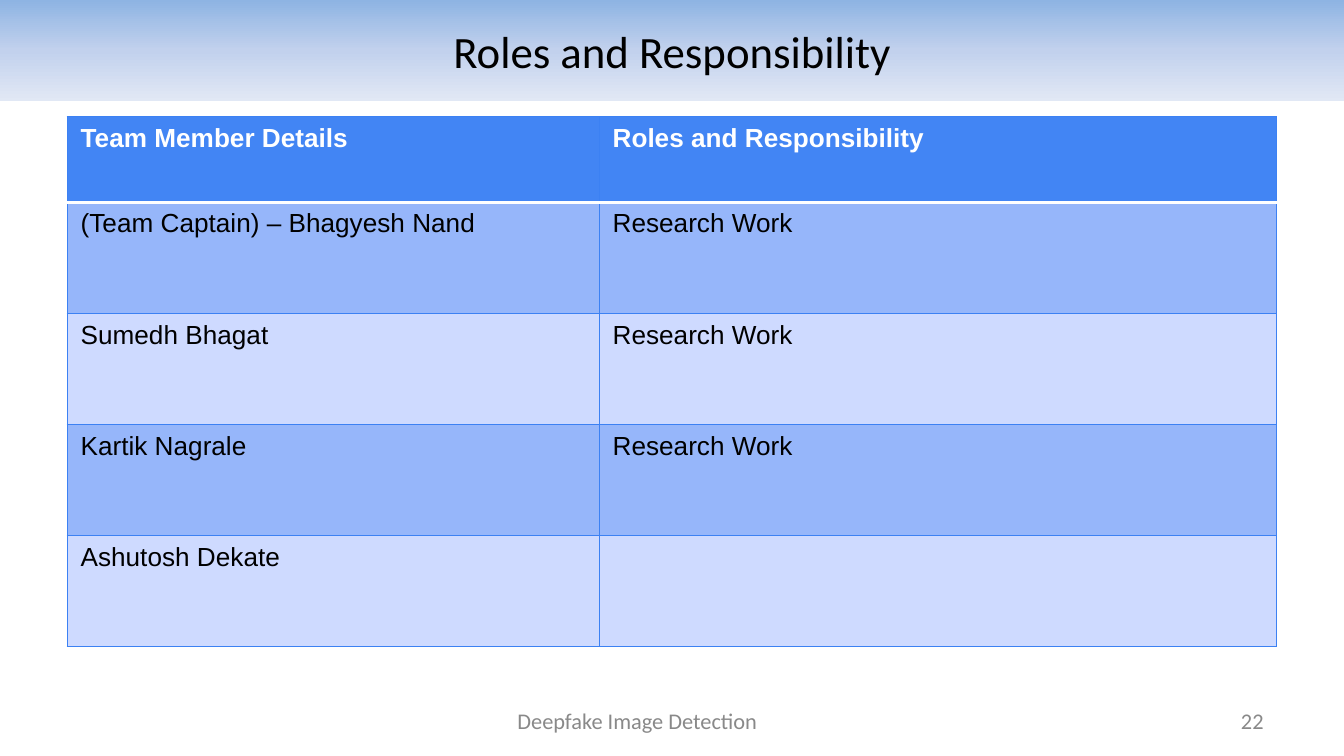
from copy import deepcopy

from lxml.etree import SubElement
from pptx import Presentation
from pptx.dml.color import RGBColor
from pptx.enum.text import MSO_ANCHOR as Anchor, PP_ALIGN as Align
from pptx.oxml.ns import qn
from pptx.util import Pt

# Content
HEADING = "Roles and Responsibility"
ROLES = [
    ("Team Member Details", "Roles and Responsibility"),
    ("(Team Captain) – Bhagyesh Nand", "Research Work"),
    ("Sumedh Bhagat", "Research Work"),
    ("Kartik Nagrale", "Research Work"),
    ("Ashutosh Dekate", ""),
]
# Footer entries: text, left, width, alignment
FOOTERS = [
    ("22", 516, 168, Align.RIGHT),
    ("Deepfake Image Detection", 59, 565, Align.CENTER),
]

# Layout, in points
SLIDE_W, SLIDE_H = 720, 405
BANNER_H = 54
TABLE_LEFT, TABLE_TOP = 36, 62.5
COLUMN_W = (285, 363)
HEADER_H, ROW_H = 46, 59.5
FOOTER_TOP, FOOTER_H = 375.25, 21.6

COLORS = {
    "text": "000000", "header_text": "FFFFFF", "footer": "898989",
    "header": "4285F4", "band": "96B6FA", "plain": "CEDAFF",
    "border": "3C81F3", "header_rule": "FFFFFF",
}
BANNER_STOPS = ("8EB4E3", "C2D1ED", "E1E8F5")


def write(frame, text, size, font="Calibri", color="text", bold=False,
          align=Align.LEFT, anchor=Anchor.MIDDLE):
    frame.word_wrap = True
    frame.vertical_anchor = anchor
    line = frame.paragraphs[0]
    line.alignment = align
    run = line.add_run()
    run.text = text
    run.font.size, run.font.name, run.font.bold = Pt(size), font, bold
    run.font.color.rgb = RGBColor.from_string(COLORS[color])


def set_borders(cell, sides):
    """Draw cell borders from {side: (colour, width)}, in L, R, T, B order."""
    properties = cell._tc.get_or_add_tcPr()
    for position, (side, (color, width)) in enumerate(sides.items()):
        edge = SubElement(properties, qn(f"a:ln{side}"), w=str(Pt(width)))
        fill = SubElement(edge, qn("a:solidFill"))
        SubElement(fill, qn("a:srgbClr"), val=COLORS[color])
        properties.insert(position, edge)


deck = Presentation()
deck.slide_width, deck.slide_height = Pt(SLIDE_W), Pt(SLIDE_H)
slide = deck.slides.add_slide(deck.slide_layouts[5])

# Title banner with a three-stop vertical gradient
banner = slide.shapes.title
banner.left, banner.top = Pt(0), Pt(0)
banner.width, banner.height = Pt(SLIDE_W), Pt(BANNER_H)
write(banner.text_frame, HEADING, 24, align=Align.CENTER)
banner.fill.gradient()
banner.fill.gradient_angle = 270
first_stop = next(banner._element.iter(qn("a:gs")))
first_stop.addnext(deepcopy(first_stop))
for index, (stop, color) in enumerate(zip(banner.fill.gradient_stops, BANNER_STOPS)):
    stop.position = index / 2
    stop.color.rgb = RGBColor.from_string(color)

# Roles table
roles = slide.shapes.add_table(
    len(ROLES), len(COLUMN_W), Pt(TABLE_LEFT), Pt(TABLE_TOP),
    Pt(sum(COLUMN_W)), Pt(HEADER_H + ROW_H * (len(ROLES) - 1))).table
for column, width in zip(roles.columns, COLUMN_W):
    column.width = Pt(width)
for row_index, entries in enumerate(ROLES):
    is_header = row_index == 0
    roles.rows[row_index].height = Pt(HEADER_H if is_header else ROW_H)
    shade = "header" if is_header else ("plain", "band")[row_index % 2]
    sides = dict.fromkeys("LRTB", ("border", 0.75))
    if is_header:
        sides["B"] = ("header_rule", 2)
    elif row_index == 1:
        sides["T"] = ("header_rule", 2)
    for column_index, entry in enumerate(entries):
        cell = roles.cell(row_index, column_index)
        cell.fill.solid()
        cell.fill.fore_color.rgb = RGBColor.from_string(COLORS[shade])
        set_borders(cell, sides)
        if entry:
            write(cell.text_frame, entry, 14, font="Arial", bold=is_header,
                  color="header_text" if is_header else "text", anchor=Anchor.TOP)

# Page number and footer
for text, left, width, align in FOOTERS:
    footer = slide.shapes.add_textbox(Pt(left), Pt(FOOTER_TOP), Pt(width), Pt(FOOTER_H))
    write(footer.text_frame, text, 12, color="footer", align=align)

deck.save("out.pptx")
